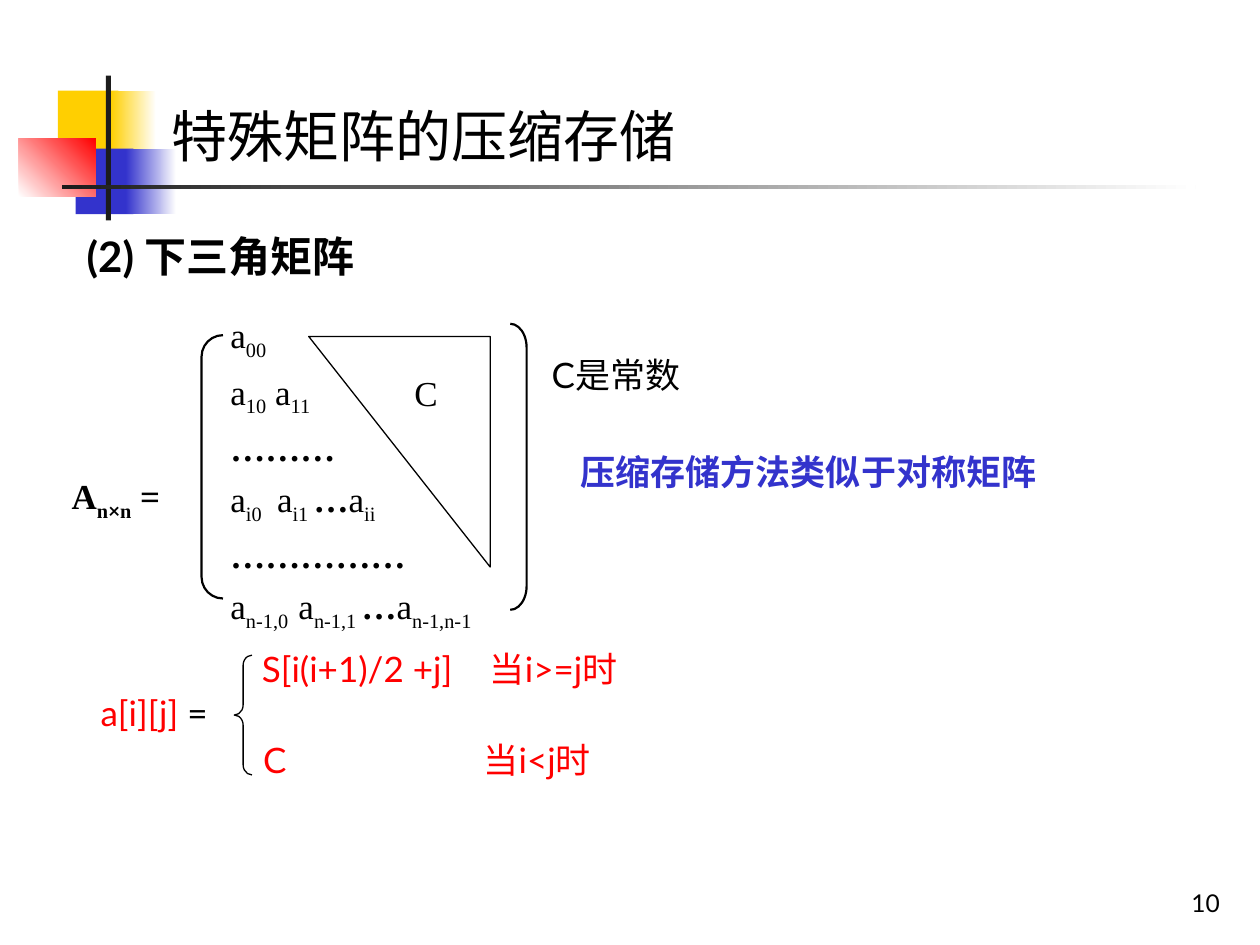
import pptx
import pptx.dml.color
import pptx.enum.shapes
import pptx.enum.text
import pptx.oxml
import pptx.oxml.ns
import pptx.util

COLORS = {"yellow": "FFCF01", "blue": "3333CC", "red": "FF0000",
          "dark": "1C1C1C", "black": "000000", "white": "FFFFFF"}
SERIF, SANS, CJK = "Times New Roman", "Lato", "Noto Sans CJK JP"
SHAPES = pptx.enum.shapes.MSO_SHAPE

deck = pptx.Presentation()
deck.slide_width = pptx.util.Inches(10)
deck.slide_height = pptx.util.Inches(7.5)
COLUMN = deck.slide_width / 100
ROW = deck.slide_height / 75
page = deck.slides.add_slide(deck.slide_layouts[6])


def add_shape(kind, place, fill=None, line=None):
    """Place is left, top, width, height in columns and rows; line is a width in points."""
    left, top, width, height = place
    shape = page.shapes.add_shape(kind, round(left * COLUMN), round(top * ROW),
                                  round(width * COLUMN), round(height * ROW))
    shape.shadow.inherit = False
    if fill:
        shape.fill.solid()
        shape.fill.fore_color.rgb = pptx.dml.color.RGBColor.from_string(COLORS[fill])
    else:
        shape.fill.background()
    if line:
        shape.line.width = pptx.util.Pt(line)
        shape.line.color.rgb = pptx.dml.color.RGBColor.from_string(COLORS["black"])
    else:
        shape.line.fill.background()
    return shape


def add_text(place, paras, size=20, font=SANS, before=5, spacing=None, tabs=()):
    """Each para is a list of (text, color, marks); marks hold b for bold, s for subscript.

    tabs gives one tab stop, in columns, for each para that has one.
    """
    left, top, width, height = place
    box = page.shapes.add_textbox(round(left * COLUMN), round(top * ROW),
                                  round(width * COLUMN), round(height * ROW))
    frame = box.text_frame
    frame.word_wrap = True
    for index, runs in enumerate(paras):
        para = frame.add_paragraph() if index else frame.paragraphs[0]
        para.space_before = pptx.util.Pt(before)
        if spacing:
            para.line_spacing = spacing
        if index < len(tabs) and tabs[index]:
            stops = pptx.oxml.parse_xml(
                f'<a:tabLst {pptx.oxml.ns.nsdecls("a")}>'
                f'<a:tab pos="{round(tabs[index] * COLUMN)}" algn="l"/></a:tabLst>')
            para._p.get_or_add_pPr().append(stops)
        for text, color, marks in runs:
            span = para.add_run()
            span.text = text
            span.font.size = pptx.util.Pt(size)
            span.font.name = SANS if text == "×" else font
            span.font.bold = "b" in marks
            span.font.color.rgb = pptx.dml.color.RGBColor.from_string(COLORS[color])
            if "s" in marks:
                span.font._element.set("baseline", "-25000")
            if font != SERIF:
                span.font._element.append(pptx.oxml.parse_xml(
                    f'<a:ea {pptx.oxml.ns.nsdecls("a")} typeface="{CJK}"/>'))
    return box


# Corner ornament and rule: place, start colour, end colour, angle
ornament = [
    ((4.6, 7.2, 4.8, 5.2), "yellow", None, 0),
    ((8.8, 7.2, 3.6, 5.2), "yellow", "white", 0),
    ((6, 11.8, 4.6, 5.2), "blue", None, 0),
    ((10, 11.8, 4, 5.2), "blue", "white", 0),
    ((1.5, 11, 6.1, 4.6), "white", "red", 45),
    ((8.4, 6, 0.4, 11.5), "dark", None, 0),
    ((4.9, 14.7, 90, 0.3), "dark", "white", 0),
]
for place, start, end, angle in ornament:
    block = add_shape(SHAPES.RECTANGLE, place, start)
    if end:
        block.fill.gradient()
        block.fill.gradient_angle = angle
        for stop, color in zip(block.fill.gradient_stops, (start, end)):
            stop.color.rgb = pptx.dml.color.RGBColor.from_string(COLORS[color])

# Headings and remarks
add_text((5.9, 17.8, 74, 5), [[("(2) 下三角矩阵", "black", "b")]], size=24, before=15)
add_text((12.6, 7.6, 87.4, 6.4), [[("特殊矩阵的压缩存储", "black", "")]],
         size=32, font=CJK, before=20)
add_text((45.1, 34.4, 50.4, 10.2), [[("压缩存储方法类似于对称矩阵", "blue", "b")]], spacing=1.25)
add_text((42.8, 26.7, 18.7, 7.3), [[("C是常数", "black", "")]], spacing=1.25)

# Lower triangular matrix
matrix_rows = [
    [("a", ""), ("00", "s")],
    [("a", ""), ("10", "s"), (" a", ""), ("11", "s")],
    [("………", "b")],
    [("a", ""), ("i0\t", "s"), ("a", ""), ("i1 ", "s"), ("…", "b"), ("a", ""), ("ii", "s")],
    [("……………", "b")],
    [("a", ""), ("n-1,0\t", "s"), ("a", ""), ("n-1,1 ", "s"), ("…", "b"), ("a", ""),
     ("n-1,n-1", "s")],
]
add_text((17.3, 24.4, 26.2, 26.3),
         [[(text, "black", marks) for text, marks in row] for row in matrix_rows],
         font=SERIF, tabs=(0, 0, 0, 3.7, 0, 5.4))
add_text((4.7, 37.2, 22.5, 4.8),
         [[("A", "black", "b"), ("n", "black", "bs"), ("×", "black", "bs"),
           ("n", "black", "bs"), (" =", "black", "b")]], font=SERIF, before=12.5)
left_bracket = add_shape(SHAPES.LEFT_BRACKET, (16, 26.6, 1.7, 20.9), line=1.25)
left_bracket.adjustments[0] = 1
right_bracket = add_shape(SHAPES.RIGHT_BRACKET, (40.5, 25.7, 1.3, 22.7), line=1.25)
right_bracket.adjustments[0] = 1.46
triangle = add_shape(SHAPES.RIGHT_TRIANGLE, (24.5, 26.7, 14.4, 18.3), "white", line=0.75)
triangle.rotation = 180
add_text((31.9, 29, 6.7, 4.4), [[("C", "black", "")]], font=SERIF, before=12.5)

# Storage formula
add_text((7, 53.6, 12.7, 8.3), [[("a[i][j]", "red", ""), (" =", "black", "")]], spacing=1.25)
cases = [(19.8, 50.1, "S[i(i+1)/2 +j]\t当i>=j时", 18.1),
         (19.9, 57.3, "C\t当i<j时", 17.5)]
for left, top, text, tab in cases:
    add_text((left, top, 32.7, 5.7), [[(text, "red", "")]], spacing=1.25, tabs=(tab,))
brace = add_shape(SHAPES.LEFT_BRACE, (18.6, 52, 1.4, 9.5), line=0.75)
brace.adjustments[0] = 0.57

# Page number
number = add_text((77, 68.3, 20.8, 5), [[("10", "black", "")]], size=14, before=0)
number.text_frame.vertical_anchor = pptx.enum.text.MSO_ANCHOR.BOTTOM
number.text_frame.paragraphs[0].alignment = pptx.enum.text.PP_ALIGN.RIGHT

deck.save("out.pptx")
